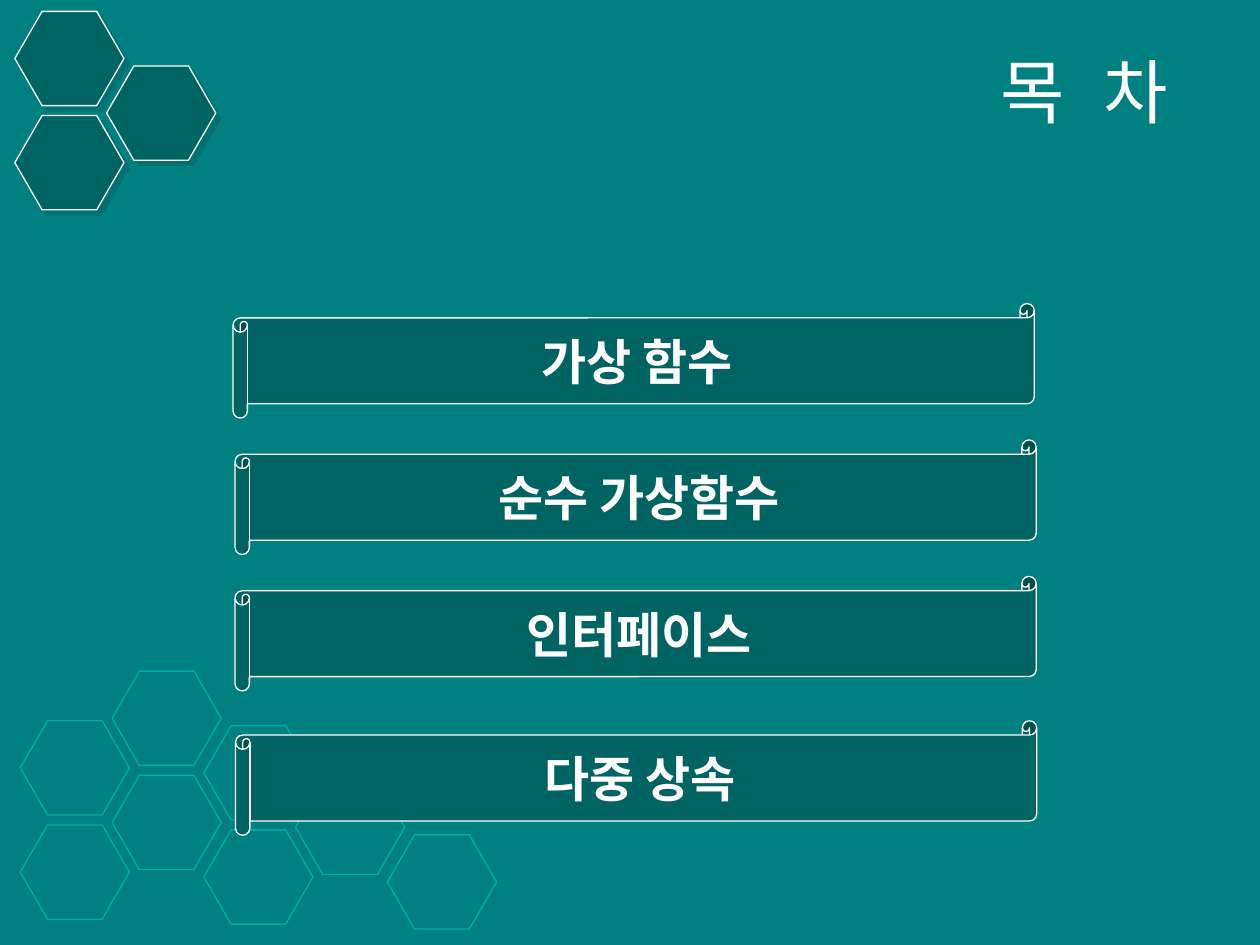
from typing import NamedTuple

from lxml import etree
from pptx import Presentation
from pptx.dml.color import RGBColor
from pptx.enum.shapes import MSO_SHAPE
from pptx.enum.text import MSO_ANCHOR, PP_ALIGN
from pptx.oxml import parse_xml
from pptx.oxml.ns import qn
from pptx.util import Cm, Pt

HEX = MSO_SHAPE.HEXAGON
SCROLL = MSO_SHAPE.HORIZONTAL_SCROLL
MIDDLE = MSO_ANCHOR.MIDDLE
CENTER = PP_ALIGN.CENTER
RIGHT = PP_ALIGN.RIGHT

TEAL = RGBColor(0x00, 0x80, 0x80)
DARK = RGBColor(0x00, 0x64, 0x62)
LIGHT = RGBColor(0x00, 0xAC, 0xA8)
WHITE = RGBColor(0xFF, 0xFF, 0xFF)

SHADOW = (
    '<a:effectLst xmlns:a="http://schemas.openxmlformats.org/drawingml/2006/main">'
    '<a:outerShdw blurRad="0" dist="53340" dir="2700000" algn="ctr" rotWithShape="0">'
    '<a:srgbClr val="006462"><a:alpha val="50000"/></a:srgbClr>'
    '</a:outerShdw></a:effectLst>'
)


class Comb(NamedTuple):
    left: float
    top: float
    cells: list[tuple[int, int]]
    line: RGBColor
    solid: bool


class Item(NamedTuple):
    left: float
    top: float
    text: str


COMBS = [
    Comb(0.41, 14.53,
         [(2, 0), (2, -1), (3, -1), (4, -1), (1, 0), (1, -1), (0, 0), (0, 1)],
         LIGHT, False),
    Comb(0.3, 0.23, [(0, 1), (0, 0), (1, 0)], WHITE, True),
]
ITEMS = [
    Item(4.7, 6.12, "가상 함수"),
    Item(4.74, 8.87, "순수 가상함수"),
    Item(4.74, 11.62, "인터페이스"),
    Item(4.75, 14.53, "다중 상속"),
]


def add_shape(slide, kind, left: float, top: float, width: float,
              height: float, line: RGBColor, solid: bool):
    shape = slide.shapes.add_shape(kind, Cm(left), Cm(top), Cm(width), Cm(height))
    shape.shadow.inherit = False
    if solid:
        shape.fill.solid()
        shape.fill.fore_color.rgb = DARK
    else:
        shape.fill.background()
    shape.line.color.rgb = line
    shape.line.width = Pt(0.75)
    return shape


def set_text(shape, text: str, font: str, size: int, bold: bool, align) -> None:
    frame = shape.text_frame
    frame.word_wrap = True
    frame.vertical_anchor = MIDDLE
    frame.text = text
    para = frame.paragraphs[0]
    para.alignment = align
    run = para.runs[0]
    run.font.name = font
    run.font.size = Pt(size)
    run.font.bold = bold
    run.font.color.rgb = WHITE
    east = etree.SubElement(run.font._element, qn("a:ea"))
    east.set("typeface", font)


def add_comb(slide, comb: Comb) -> None:
    for col, row in comb.cells:
        left = comb.left + 1.85 * col
        top = comb.top + 1.1 * col + 2.1 * row
        cell = add_shape(slide, HEX, left, top, 2.2, 1.9, comb.line, comb.solid)
        cell.adjustments[0] = 0.289
        cell.adjustments[1] = 1.155
        if comb.solid:
            props = cell._element.spPr
            props.remove(props.find(qn("a:effectLst")))
            props.append(parse_xml(SHADOW))


def add_item(slide, item: Item) -> None:
    bar = add_shape(slide, SCROLL, item.left, item.top, 16.15, 2.31, WHITE, True)
    set_text(bar, item.text, "Noto Sans CJK KR", 28, True, CENTER)


deck = Presentation()
deck.slide_width = Cm(25.4)
deck.slide_height = Cm(19.05)
slide = deck.slides.add_slide(deck.slide_layouts[6])
slide.background.fill.solid()
slide.background.fill.fore_color.rgb = TEAL

for comb in COMBS:
    add_comb(slide, comb)

title = slide.shapes.add_textbox(Cm(4.7), Cm(0.71), Cm(19.1), Cm(2.21))
set_text(title, "목  차", "Arial", 40, False, RIGHT)

for item in ITEMS:
    add_item(slide, item)

deck.save("out.pptx")
